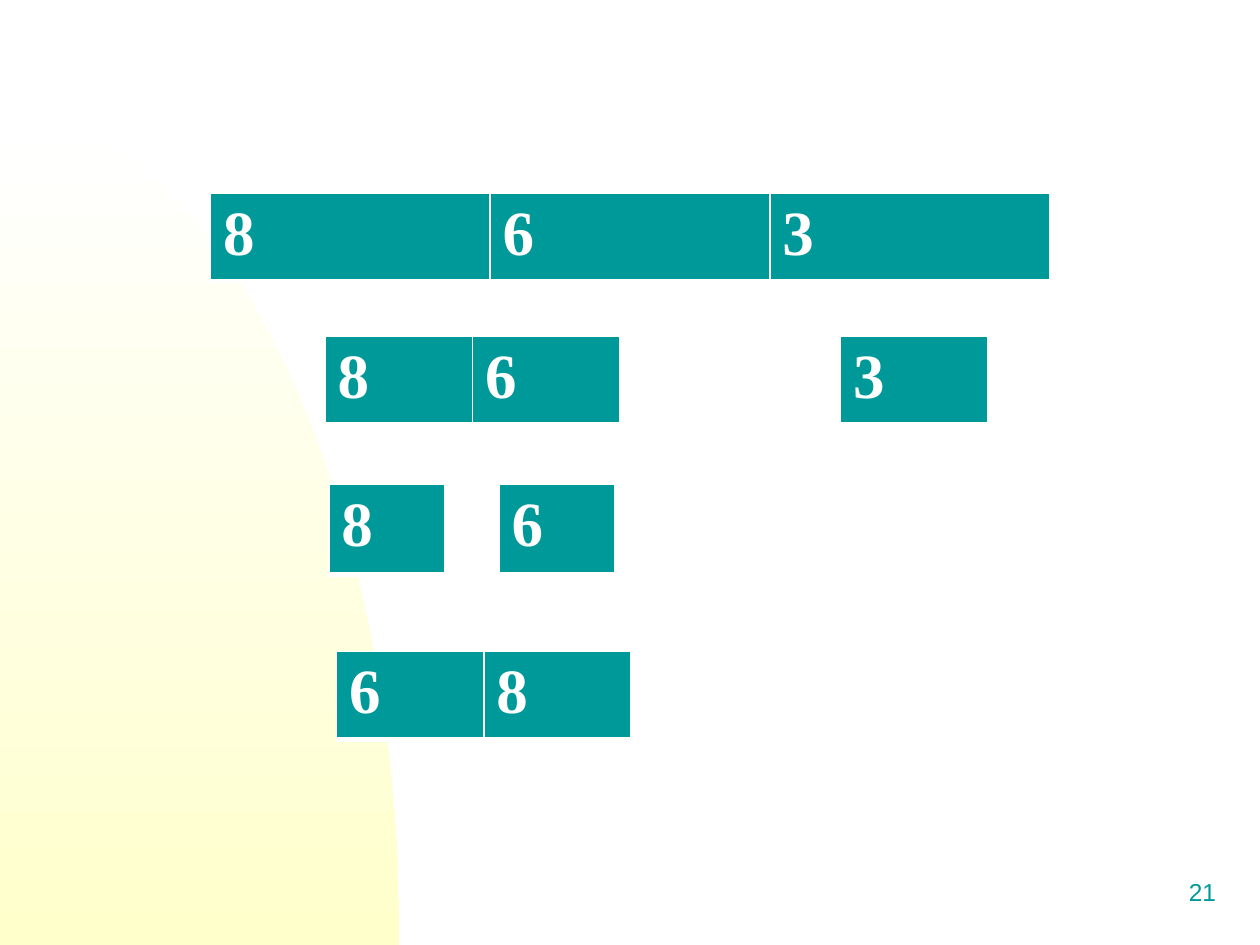
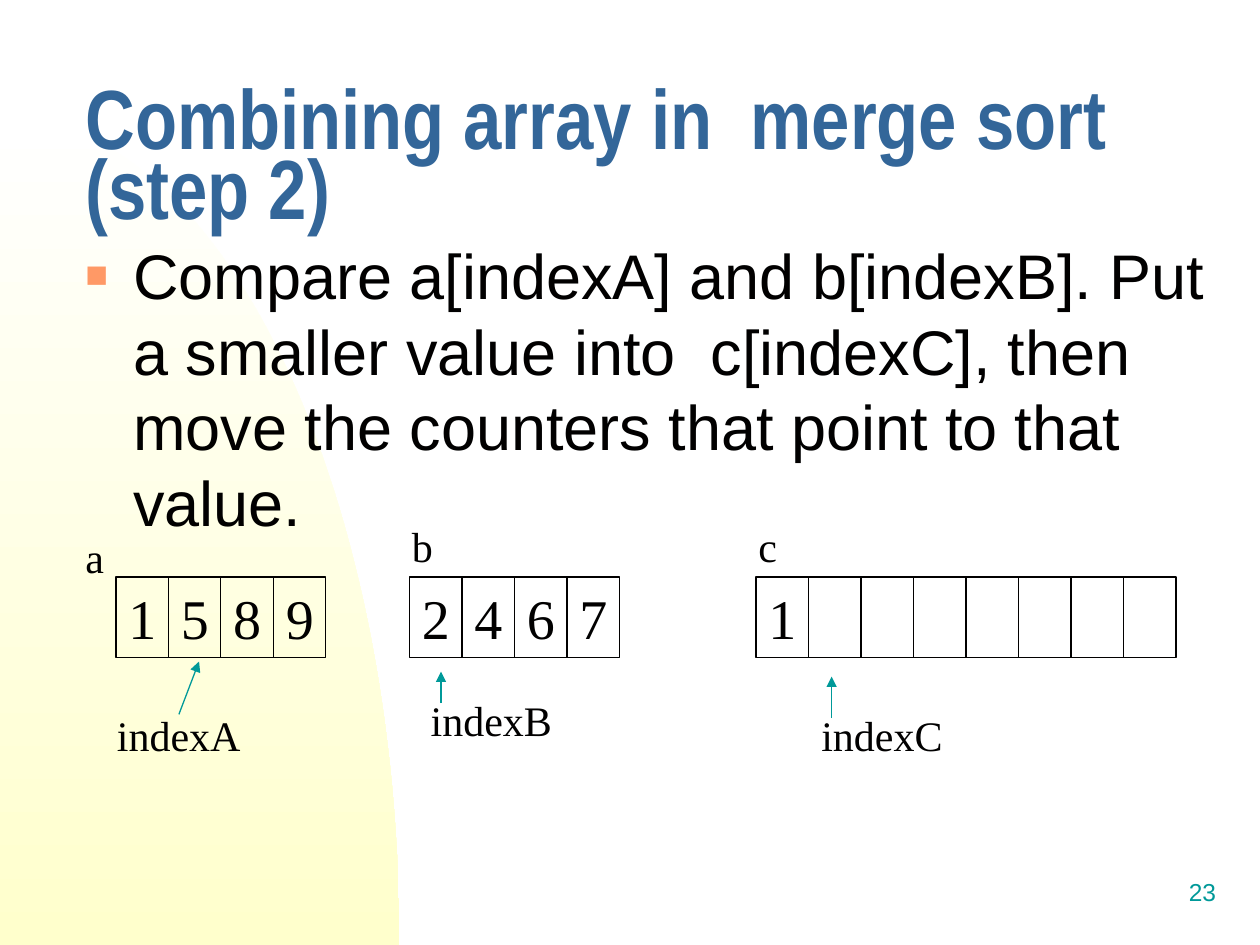
from lxml.etree import SubElement
from pptx import Presentation
from pptx.dml.color import RGBColor
from pptx.enum.shapes import MSO_CONNECTOR as Connector, MSO_SHAPE as Shape
from pptx.enum.text import MSO_ANCHOR as Anchor, PP_ALIGN as Align
from pptx.oxml.ns import qn
from pptx.util import Inches, Pt

WHITE = RGBColor(0xFF, 0xFF, 0xFF)
CREAM = RGBColor(0xFF, 0xFF, 0xCC)
TEAL = RGBColor(0x00, 0x99, 0x99)
BLUE = RGBColor(0x33, 0x66, 0x99)
ORANGE = RGBColor(0xFF, 0x99, 0x66)
INK = RGBColor(0x01, 0x00, 0x00)

SERIF = "Times New Roman"
TITLE = {"name": "Arial Narrow", "size": Pt(48), "bold": True, "color": BLUE}
BODY = {"name": "Arial", "size": Pt(36), "color": INK}
NUMBER = {"name": "Arial", "size": Pt(14), "color": TEAL}
LABEL = {"name": SERIF, "size": Pt(24), "color": INK}
DIGIT = {"name": SERIF, "size": Pt(32), "color": INK}
BLOCK = {"name": SERIF, "size": Pt(36), "bold": True, "color": WHITE}

CELL_WIDTH = 5 / 12
CELL_TOP = 4.58
CURVE_STEPS = 60


class Deck:
    """Holds the shared style and the current page."""

    def __init__(self):
        self.deck = Presentation()
        self.deck.slide_width, self.deck.slide_height = Inches(10), Inches(7.5)
        self.page = None

    def add_page(self, number):
        self.page = self.deck.slides.add_slide(self.deck.slide_layouts[6])
        self.page.background.fill.solid()
        self.page.background.fill.fore_color.rgb = WHITE
        self.curve()
        self.text(str(number), (7.67, 6.83, 2.08, 0.5), NUMBER,
                  anchor=Anchor.MIDDLE, alignment=Align.RIGHT)

    def curve(self):
        points = []
        for step in range(CURVE_STEPS + 1):
            t = step / CURVE_STEPS
            weights = ((1 - t) ** 3, 3 * t * (1 - t) ** 2, 3 * t * t * (1 - t), t ** 3)
            x = sum(w * p for w, p in zip(weights, (0, 1.75, 3.17, 3.17)))
            y = sum(w * p for w, p in zip(weights, (0.92, 0.92, 3.87, 7.5)))
            points.append((Inches(x), Inches(y)))
        points.append((0, Inches(7.5)))
        builder = self.page.shapes.build_freeform(*points[0])
        builder.add_line_segments(points[1:], close=True)
        shape = builder.convert_to_shape()
        shape.shadow.inherit = False
        shape.line.fill.background()
        shape.fill.gradient()
        shape.fill.gradient_angle = 270
        for stop, position, color in zip(shape.fill.gradient_stops, (0, 1), (WHITE, CREAM)):
            stop.position = position
            stop.color.rgb = color

    def fill_text(self, frame, content, style, **layout):
        para = frame.paragraphs[0]
        for name, value in layout.items():
            setattr(para, name, value)
        span = para.add_run()
        span.text = content
        for name, value in style.items():
            if name == "color":
                span.font.color.rgb = value
            else:
                setattr(span.font, name, value)
        return para

    def text(self, content, area, style, anchor=Anchor.TOP, **layout):
        box = self.page.shapes.add_textbox(*map(Inches, area))
        box.text_frame.word_wrap = True
        box.text_frame.vertical_anchor = anchor
        return self.fill_text(box.text_frame, content, style, **layout)

    def bullet(self, content, area):
        para = self.text(content, area, BODY, space_before=Pt(2))
        props = para._p.get_or_add_pPr()
        props.set("marL", str(Inches(0.38)))
        props.set("indent", str(Inches(-0.38)))
        color = SubElement(props, qn("a:buClr"))
        SubElement(color, qn("a:srgbClr"), val=str(ORANGE))
        SubElement(props, qn("a:buSzPct"), val="60000")
        SubElement(props, qn("a:buFont"), typeface="Arial")
        SubElement(props, qn("a:buChar"), char="■")

    def blocks(self, values, left, top, width, height=0.57):
        area = (left, top, width * len(values), height)
        table = self.page.shapes.add_table(1, len(values), *map(Inches, area)).table
        table.first_row = table.horz_banding = False
        for column, value in enumerate(values):
            table.columns[column].width = Inches(width)
            cell = table.cell(0, column)
            props = cell._tc.get_or_add_tcPr()
            for side, points in (("L", 1), ("R", 1), ("T", 1), ("B", 3)):
                border = SubElement(props, qn(f"a:ln{side}"), w=str(Pt(points)))
                fill = SubElement(border, qn("a:solidFill"))
                SubElement(fill, qn("a:srgbClr"), val=str(WHITE))
            cell.fill.solid()
            cell.fill.fore_color.rgb = TEAL
            self.fill_text(cell.text_frame, value, BLOCK)

    def array(self, values, left, length):
        for index in range(length):
            area = (left + index * CELL_WIDTH, CELL_TOP, CELL_WIDTH, 0.64)
            box = self.page.shapes.add_shape(Shape.RECTANGLE, *map(Inches, area))
            box.shadow.inherit = False
            box.fill.background()
            box.line.color.rgb = INK
            box.line.width = Pt(0.75)
            box.text_frame.vertical_anchor = Anchor.TOP
            if index < len(values):
                self.fill_text(box.text_frame, values[index], DIGIT, alignment=Align.LEFT)

    def arrow(self, start, end):
        line = self.page.shapes.add_connector(
            Connector.STRAIGHT, *map(Inches, (*start, *end)))
        line.line.color.rgb = TEAL
        line.line.width = Pt(0.75)
        SubElement(line.line._get_or_add_ln(), qn("a:tailEnd"), type="triangle")
        SubElement(line._element.spPr, qn("a:effectLst"))


def build_split_page(deck):
    deck.add_page(21)
    deck.blocks("863", 1.67, 1.53, 2.22)
    deck.blocks("86", 2.58, 2.67, 1.17)
    deck.blocks("3", 6.67, 2.67, 1.17)
    for value, left in (("8", 2.61), ("6", 3.96)):
        deck.blocks(value, left, 3.84, 0.92, 0.72)
    deck.blocks("68", 2.67, 5.17, 1.17)


def build_merge_page(deck):
    deck.add_page(23)
    deck.text("Combining array in  merge sort (step 2)", (0.58, 0.67, 9.17, 1.25),
              TITLE, anchor=Anchor.MIDDLE, line_spacing=0.7)
    deck.bullet("Compare a[indexA] and b[indexB]. Put a smaller value into  c[indexC], "
                "then move the counters that point to that value.",
                (0.58, 1.83, 9.17, 4.83))
    arrays = (
        ("a", (0.58, 4.17), "1589", 0.92, 4, "indexA", (0.83, 5.58), (1.42, 5.67), (1.58, 5.25)),
        ("b", (3.17, 4.08), "2467", 3.25, 4, "indexB", (3.32, 5.46), (3.5, 5.58), (3.5, 5.33)),
        ("c", (5.92, 4.08), "1", 6, 8, "indexC", (6.42, 5.58), (6.6, 5.7), (6.6, 5.37)),
    )
    for name, name_at, values, left, length, counter, counter_at, start, end in arrays:
        deck.array(values, left, length)
        deck.text(name, (*name_at, 0.42, 0.5), LABEL, space_before=Pt(2))
        deck.arrow(start, end)
        deck.text(counter, (*counter_at, 1.3, 0.5), LABEL)


def main():
    deck = Deck()
    build_split_page(deck)
    build_merge_page(deck)
    deck.deck.save("out.pptx")


if __name__ == "__main__":
    main()
